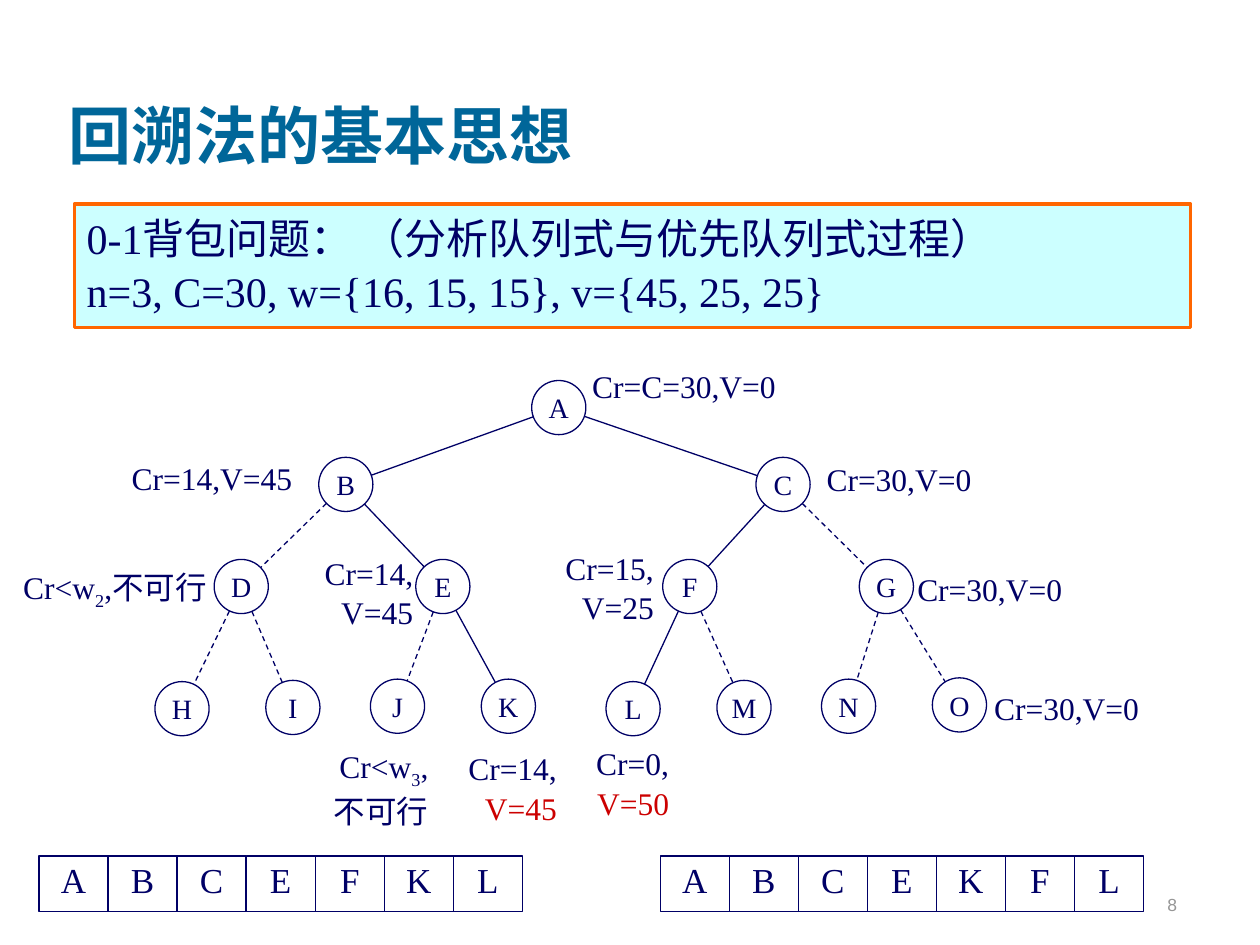
from math import hypot

from lxml.etree import SubElement
from pptx import Presentation
from pptx.dml.color import RGBColor
from pptx.enum.dml import MSO_LINE
from pptx.enum.shapes import MSO_CONNECTOR, MSO_SHAPE
from pptx.enum.text import MSO_ANCHOR, PP_ALIGN
from pptx.oxml.ns import qn
from pptx.util import Inches, Pt

COLS, ROWS = 100, 75
CELL = Inches(0.1)
NAVY, RED, TEAL, GREY = "000066", "CC0000", "006699", "969696"
SERIF = "Times New Roman"
LEFT, CENTER, RIGHT = PP_ALIGN.LEFT, PP_ALIGN.CENTER, PP_ALIGN.RIGHT
DIAMETER = 4.3

NODES = {
    "A": (42.2, 30.2), "B": (25.3, 36.3), "C": (60, 36.3),
    "D": (17, 44.4), "E": (33, 44.4), "F": (52.6, 44.4), "G": (68.2, 44.4),
    "H": (12.3, 54.1), "I": (21.1, 54), "J": (29.4, 53.9), "K": (38.2, 53.9),
    "L": (48.1, 54.1), "M": (56.9, 54), "N": (65.2, 53.9), "O": (74, 53.8),
}
SOLID_CHILDREN = "BCEFKL"

LABELS = [
    ((47, 29, 16.7, 3), LEFT, [("Cr=C=30,V=0",)]),
    ((7.7, 36.3, 15.5, 3), RIGHT, [("Cr=14,V=45",)]),
    ((65.6, 36.4, 15.5, 3), LEFT, [("Cr=30,V=0",)]),
    ((0.9, 44.9, 15.5, 3.4), RIGHT, [("Cr<w",), ("2", NAVY, True), (",不可行",)]),
    ((24.5, 43.8, 8.3, 6), RIGHT, [("Cr=14,V=45",)]),
    ((72.8, 45.1, 15.5, 3), LEFT, [("Cr=30,V=0",)]),
    ((43.6, 43.4, 8.3, 6), RIGHT, [("Cr=15,V=25",)]),
    ((26, 59.1, 8, 6.4), RIGHT, [("Cr<w",), ("3", NAVY, True), (",不可行",)]),
    ((35.9, 59.3, 8.3, 6), RIGHT, [("Cr=14,",), ("V=45", RED)]),
    ((78.9, 54.5, 15.5, 3), LEFT, [("Cr=30,V=0",)]),
    ((46.6, 58.9, 6.5, 6), RIGHT, [("Cr=0,",), ("V=50", RED)]),
]


def color(value):
    """Turn a hex string into a colour."""
    return RGBColor.from_string(value)


def cells(*values):
    """Turn grid columns or rows into lengths."""
    return [int(v * CELL) for v in values]


def add_run(p, text, size, hue=NAVY, font=SERIF, bold=False, subscript=False):
    """Add one formatted run to a paragraph."""
    r = p.add_run()
    r.text = text
    r.font.size, r.font.name, r.font.bold = Pt(size), font, bold
    r.font.color.rgb = color(hue)
    if subscript:
        r._r.get_or_add_rPr().set("baseline", "-25000")


def set_frame(tf, anchor=MSO_ANCHOR.TOP, inset=(0, 0)):
    """Set wrapping, anchor and insets of a text frame."""
    tf.word_wrap = True
    tf.vertical_anchor = anchor
    tf.margin_left = tf.margin_right = Inches(inset[0])
    tf.margin_top = tf.margin_bottom = Inches(inset[1])


def format_paragraph(p, align):
    """Set alignment and the slightly open line spacing."""
    p.alignment = align
    p.line_spacing = 1.05
    return p


def add_box(slide, kind, box, line=NAVY, width=0.75, fill=None):
    """Add an outlined preset shape."""
    sp = slide.shapes.add_shape(kind, *cells(*box))
    sp.shadow.inherit = False
    sp.line.color.rgb, sp.line.width = color(line), Pt(width)
    if fill:
        sp.fill.solid()
        sp.fill.fore_color.rgb = color(fill)
    else:
        sp.fill.background()
    return sp


def add_title(slide, text):
    """Place and fill the title placeholder."""
    sp = slide.shapes.title
    sp.left, sp.top, sp.width, sp.height = cells(4.4, 1.7, 85, 12.5)
    set_frame(sp.text_frame, MSO_ANCHOR.BOTTOM, (0.1, 0.05))
    p = sp.text_frame.paragraphs[0]
    p.alignment = LEFT
    add_run(p, text, 36, TEAL, bold=True)


def add_problem(slide, lines):
    """Add the framed problem statement."""
    sp = add_box(slide, MSO_SHAPE.RECTANGLE, (5.9, 16.2, 88.6, 9.8), "FF6600", 2, "CCFFFF")
    tf = sp.text_frame
    set_frame(tf, inset=(0.1, 0.05))
    for i, text in enumerate(lines):
        p = tf.add_paragraph() if i else tf.paragraphs[0]
        add_run(format_paragraph(p, LEFT), text, 24)


def add_node(slide, letter):
    """Add a lettered tree node."""
    sp = add_box(slide, MSO_SHAPE.OVAL, (*NODES[letter], DIAMETER, DIAMETER))
    set_frame(sp.text_frame, MSO_ANCHOR.MIDDLE)
    p = sp.text_frame.paragraphs[0]
    p.alignment = CENTER
    add_run(p, letter, 16)


def add_edge(slide, parent, child):
    """Join the rims of two nodes, dashed when the branch is pruned."""
    r = DIAMETER / 2
    (x1, y1), (x2, y2) = [(x + r, y + r) for x, y in (NODES[parent], NODES[child])]
    share = r / hypot(x2 - x1, y2 - y1)
    dx, dy = share * (x2 - x1), share * (y2 - y1)
    ends = cells(x1 + dx, y1 + dy, x2 - dx, y2 - dy)
    line = slide.shapes.add_connector(MSO_CONNECTOR.STRAIGHT, *ends)
    line.line.color.rgb, line.line.width = color(NAVY), Pt(0.75)
    if child not in SOLID_CHILDREN:
        line.line.dash_style = MSO_LINE.DASH
    SubElement(line._element.spPr, qn("a:effectLst"))


def add_tree(slide):
    """Add the binary solution tree in level order."""
    letters = list(NODES)
    for i, letter in enumerate(letters):
        add_node(slide, letter)
        if i:
            add_edge(slide, letters[(i - 1) // 2], letter)


def add_label(slide, box, align, runs):
    """Add a state label beside a node."""
    tf = slide.shapes.add_textbox(*cells(*box)).text_frame
    set_frame(tf)
    p = format_paragraph(tf.paragraphs[0], align)
    for text, hue, subscript in [(*run, NAVY, False)[:3] if len(run) == 1
                                 else (*run, False)[:3] for run in runs]:
        add_run(p, text, 18, hue, subscript=subscript)


def add_queue(slide, left, letters):
    """Add a row of cells showing the visiting order."""
    width = 5.48
    for i, letter in enumerate(letters):
        sp = add_box(slide, MSO_SHAPE.RECTANGLE, (left + i * width, 67.95, width, 4.4))
        set_frame(sp.text_frame)
        add_run(format_paragraph(sp.text_frame.paragraphs[0], CENTER), letter, 20)


def add_page_number(slide, number):
    """Add the page number at the lower right."""
    tf = slide.shapes.add_textbox(*cells(73.6, 68.1, 20.8, 5)).text_frame
    set_frame(tf, MSO_ANCHOR.BOTTOM, (0.1, 0.05))
    add_run(format_paragraph(tf.paragraphs[0], RIGHT), number, 10, GREY, "Arial")


def main():
    """Build the slide and save it."""
    prs = Presentation()
    prs.slide_width, prs.slide_height = cells(COLS, ROWS)
    slide = prs.slides.add_slide(prs.slide_layouts[5])
    add_title(slide, "回溯法的基本思想")
    add_page_number(slide, "8")
    add_problem(slide, ["0-1背包问题： （分析队列式与优先队列式过程）",
                        "n=3, C=30, w={16, 15, 15}, v={45, 25, 25}"])
    add_tree(slide)
    for box, align, runs in LABELS:
        add_label(slide, box, align, runs)
    add_queue(slide, 3.1, "ABCEFKL")
    add_queue(slide, 52.4, "ABCEKFL")
    prs.save("out.pptx")


if __name__ == "__main__":
    main()
